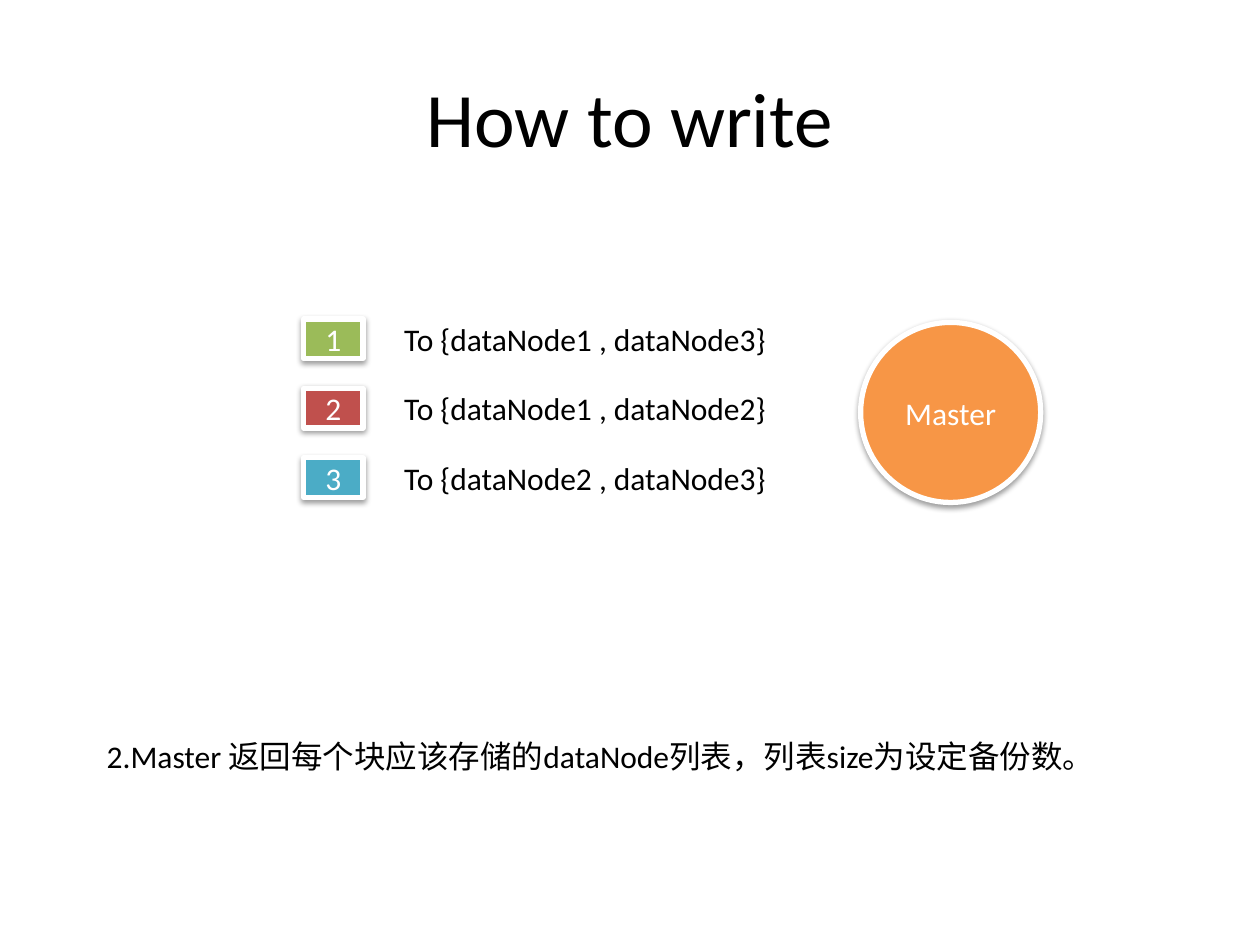
from lxml import etree
from pptx import Presentation
from pptx import util as u
from pptx.dml.color import RGBColor
from pptx.enum import shapes, text
from pptx.oxml.ns import qn

Cm = u.Cm


def write(shape, words, size, color, align, anchor):
    frame = shape.text_frame
    frame.text = words
    frame.vertical_anchor = anchor
    para = frame.paragraphs[0]
    para.alignment = align
    font = para.runs[0].font
    font.name = "Calibri"
    font.size = u.Pt(size)
    font.color.rgb = RGBColor.from_string(color)


def add_badge(page, kind, left, top, width, height, fill, words):
    badge = page.shapes.add_shape(kind, Cm(left), Cm(top), Cm(width), Cm(height))
    badge.fill.solid()
    badge.fill.fore_color.rgb = RGBColor.from_string(fill)
    badge.line.color.rgb = RGBColor.from_string("FFFFFF")
    badge.line.width = u.Pt(3)
    write(badge, words, 18, "FFFFFF", text.PP_ALIGN.CENTER, text.MSO_ANCHOR.MIDDLE)

    # Soft shadow straight below the shape
    badge.shadow.inherit = False
    effects = badge._element.spPr.find(qn("a:effectLst"))
    shadow = etree.SubElement(effects, qn("a:outerShdw"), blurRad="40000",
                              dist="20000", dir="5400000", rotWithShape="0")
    color = etree.SubElement(shadow, qn("a:srgbClr"), val="000000")
    etree.SubElement(color, qn("a:alpha"), val="38000")


deck = Presentation()
deck.slide_width, deck.slide_height = Cm(25.4), Cm(19.05)
page = deck.slides.add_slide(deck.slide_layouts[6])

# Title
title = page.shapes.add_textbox(Cm(1.27), Cm(0.76), Cm(22.86), Cm(3.18))
title.text_frame.word_wrap = True
write(title, "How to write", 44, "000000", text.PP_ALIGN.CENTER, text.MSO_ANCHOR.MIDDLE)

# Explanation of the step
note = page.shapes.add_textbox(Cm(1.9), Cm(14.73), Cm(21), Cm(1.03))
note.text_frame.word_wrap = True
write(note, "2.Master 返回每个块应该存储的dataNode列表，列表size为设定备份数。",
      18, "000000", text.PP_ALIGN.LEFT, text.MSO_ANCHOR.TOP)

# Blocks, each with the nodes that store it
blocks = [
    ("9BBB59", "To {dataNode1 , dataNode3}"),
    ("C0504D", "To {dataNode1 , dataNode2}"),
    ("4BACC6", "To {dataNode2 , dataNode3}"),
]
row_step = 1.4
for row, (fill, nodes) in enumerate(blocks):
    top = 6.43 + row * row_step
    add_badge(page, shapes.MSO_SHAPE.RECTANGLE, 6.12, top, 1.2, 0.8, fill, str(row + 1))
    box = page.shapes.add_textbox(Cm(7.9), Cm(top - 0.11), Cm(7.9), Cm(1.03))
    box.text_frame.word_wrap = False
    write(box, nodes, 18, "000000", text.PP_ALIGN.LEFT, text.MSO_ANCHOR.TOP)

# Master node
add_badge(page, shapes.MSO_SHAPE.OVAL, 17.35, 6.5, 3.63, 3.63, "F79646", "Master")

deck.save("out.pptx")
